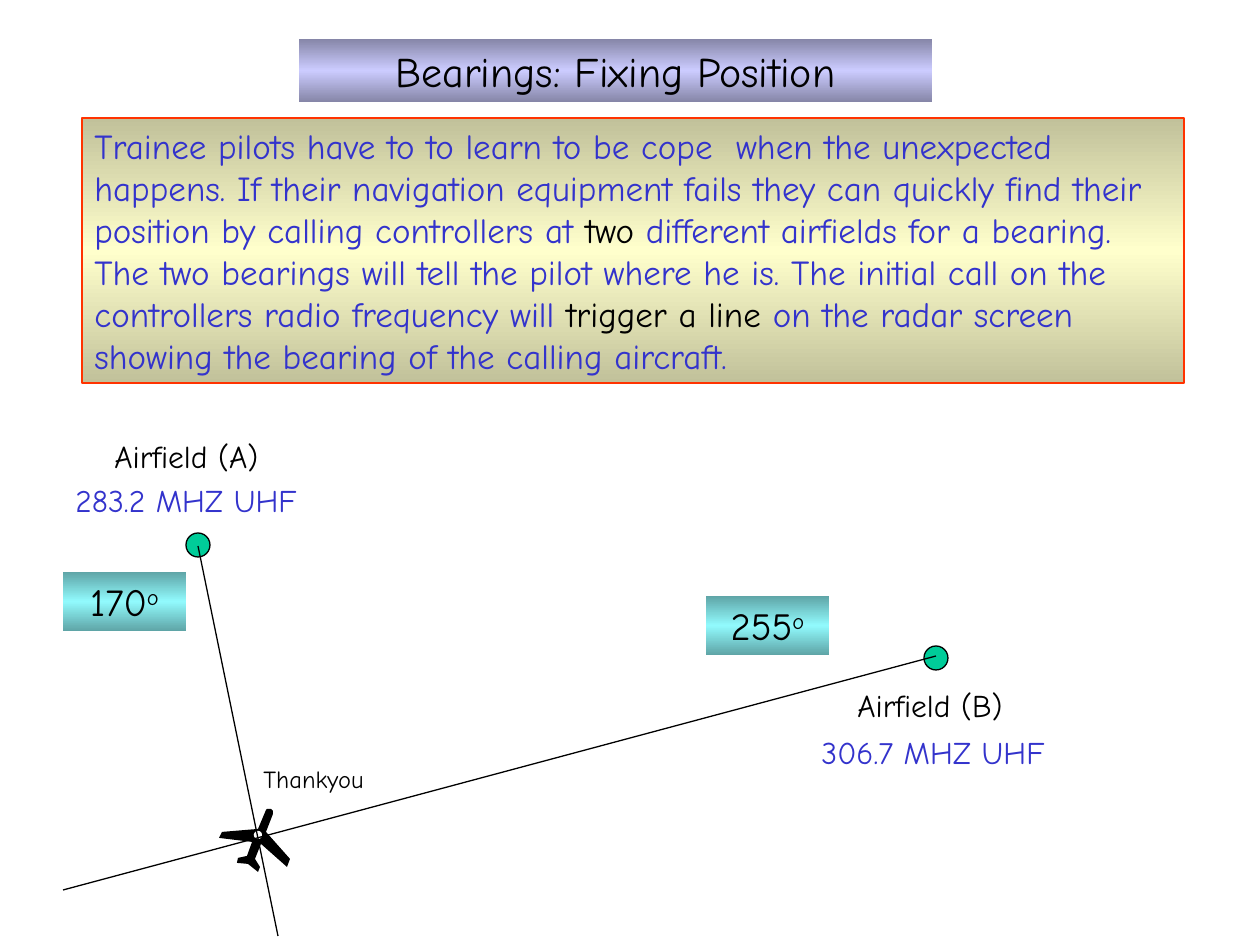
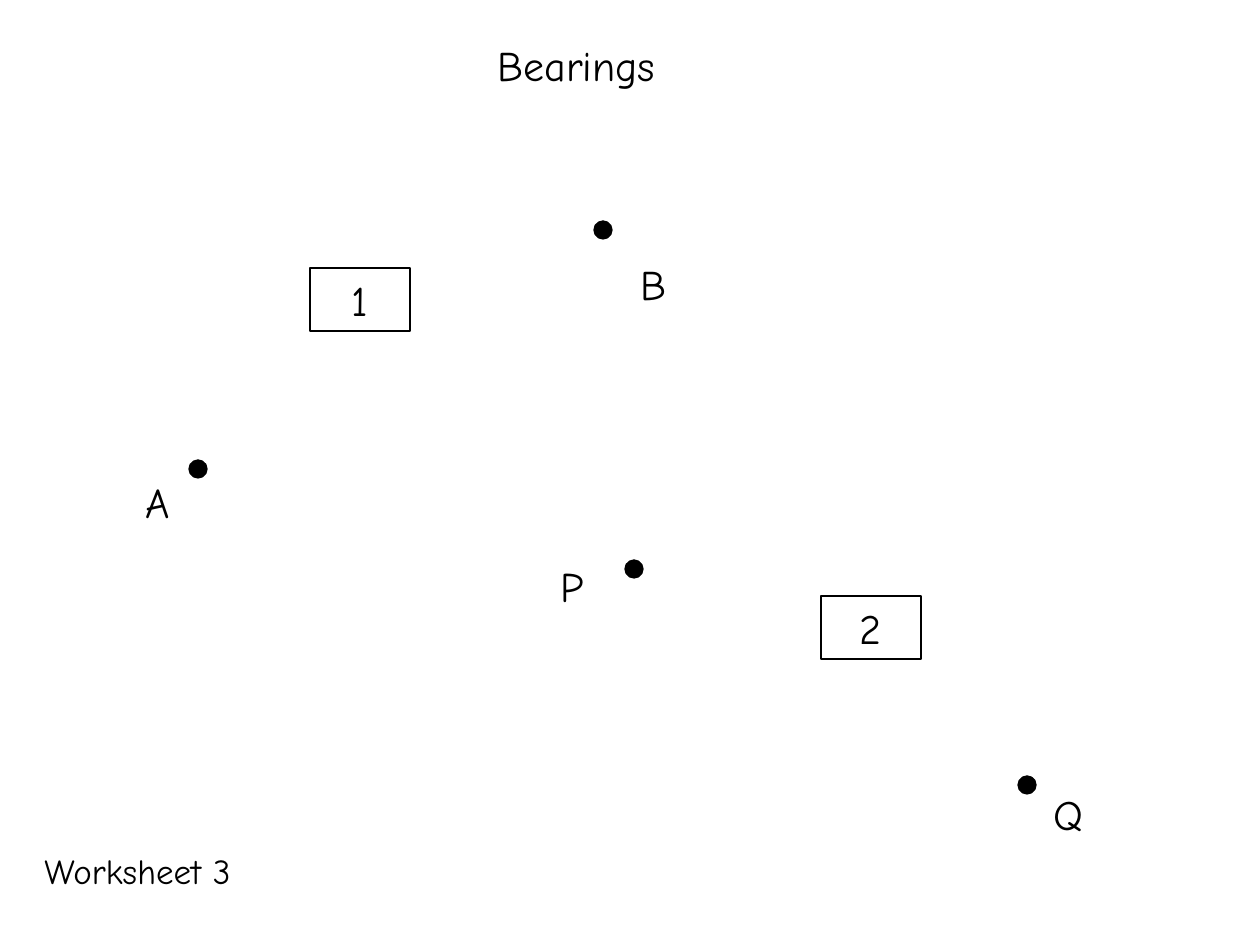
"""Build two slides about fixing a position from bearings."""
from copy import deepcopy

from lxml import etree
from pptx import Presentation
from pptx import util as u
from pptx.dml.color import RGBColor
from pptx.enum import shapes, text
from pptx.oxml.ns import qn

PX = 914400 / 126
FONT = "Comic Neue"
BLACK, WHITE, BLUE, GREEN, RED = "000000", "FFFFFF", "3333CC", "00CC99", "FF3300"
LILAC = ("8686A8", "CCCCFF")
CREAM = ("C1C19A", "FFFFCC")
AQUA = ("5FA5A7", "91FAFD")
LEFT, CENTER = text.PP_ALIGN.LEFT, text.PP_ALIGN.CENTER
LINE_WIDTH = u.Pt(0.75)

STORY = [
    ("Trainee pilots have to to learn to be cope  when the unexpected happens. "
     "If their navigation equipment fails they can quickly find their position "
     "by calling controllers at ", BLUE),
    ("two ", BLACK),
    ("different airfields for a bearing. The two bearings will tell the pilot "
     "where he is. The initial call on the controllers radio frequency will ", BLUE),
    ("trigger a line", BLACK),
    (" on the radar screen showing the bearing of the calling aircraft.", BLUE),
]
PLANE = [
    (255, 859), (261, 844), (287, 867), (290, 859), (266, 832), (273, 814),
    (273, 811), (271, 809), (267, 809), (266, 810), (258, 829), (222, 832),
    (219, 838), (252, 842), (247, 856), (238, 858), (237, 863), (248, 864),
    (258, 872), (260, 867),
]


def emu(*lengths):
    """Turn px lengths into EMU."""
    return [round(length * PX) for length in lengths]


def color(hex_code):
    """Turn a hex string into a colour."""
    return RGBColor.from_string(hex_code)


def paint(shape, fill=None, line=None):
    """Set the fill and outline, leaving out either one that is None."""
    shape.shadow.inherit = False
    if fill is None:
        shape.fill.background()
    else:
        shape.fill.solid()
        shape.fill.fore_color.rgb = color(fill)
    if line is None:
        shape.line.fill.background()
    else:
        shape.line.color.rgb = color(line)
        shape.line.width = LINE_WIDTH


def shade(shape, edge, middle):
    """Fill a shape with a vertical gradient that is lightest in the middle."""
    shape.fill.gradient()
    shape.fill.gradient_angle = 90
    stop_list = shape._element.spPr.find(f".//{qn('a:gsLst')}")
    stop_list.append(deepcopy(stop_list[0]))
    stops = zip(shape.fill.gradient_stops, (edge, middle, edge), (0, 0.5, 1))
    for stop, hex_code, position in stops:
        stop.color.rgb = color(hex_code)
        stop.position = position


def write(shape, spans, size, align):
    """Write (words, colour) spans as the one paragraph of a shape."""
    frame = shape.text_frame
    frame.word_wrap = True
    frame.vertical_anchor = text.MSO_ANCHOR.TOP
    para = frame.paragraphs[0]
    para.alignment = align
    para.font.name = FONT
    para.font.size = u.Pt(size)
    for words, hex_code in spans:
        span = para.add_run()
        span.text = words
        span.font.color.rgb = color(hex_code)
    return para


def label(page, box, words, size=24, hex_code=BLACK, align=LEFT):
    """Add plain text without a panel."""
    write(page.shapes.add_textbox(*emu(*box)), [(words, hex_code)], size, align)


def panel(page, box, spans, size=24, align=CENTER, gradient=None, line=None):
    """Add a rectangle with text, shaded when a gradient is given."""
    shape = page.shapes.add_shape(shapes.MSO_SHAPE.RECTANGLE, *emu(*box))
    paint(shape, line=line)
    if gradient:
        shade(shape, *gradient)
    return write(shape, spans, size, align)


def angle_panel(page, left, top, degrees):
    """Add a shaded bearing with a raised degree mark."""
    spans = [(degrees, BLACK), ("o", BLACK)]
    para = panel(page, (left, top, 123, 59), spans, 22, gradient=AQUA)
    para.runs[1]._r.get_or_add_rPr().set("baseline", "30000")


def dot(page, center, radius, fill=BLACK):
    """Add an outlined circle around a center."""
    x, y = center
    box = emu(x - radius, y - radius, 2 * radius, 2 * radius)
    paint(page.shapes.add_shape(shapes.MSO_SHAPE.OVAL, *box), fill, BLACK)


def bearing_line(page, start, end):
    """Add a straight black line."""
    line = page.shapes.add_connector(
        shapes.MSO_CONNECTOR.STRAIGHT, *emu(*start, *end))
    line.line.color.rgb = color(BLACK)
    line.line.width = LINE_WIDTH
    etree.SubElement(line._element.spPr, qn("a:effectLst"))


def airplane(page):
    """Add the black aircraft with its white hub."""
    builder = page.shapes.build_freeform(*PLANE[0], scale=PX)
    builder.add_line_segments(PLANE[1:], close=True)
    paint(builder.convert_to_shape(), BLACK)
    dot(page, (258, 835), 5, WHITE)


def fixing_position(page):
    """Fill the slide on finding a position from two airfields."""
    panel(page, (299, 39, 633, 63), [("Bearings: Fixing Position", BLACK)],
          gradient=LILAC)
    panel(page, (82, 118, 1102, 265), STORY, 20, LEFT, CREAM, RED)
    airfields = [
        ("Airfield (A)", (102, 431), "283.2 MHZ UHF", (63, 475), (198, 545)),
        ("Airfield (B)", (845, 680), "306.7 MHZ UHF", (809, 727), (936, 658)),
    ]
    for name, name_at, frequency, frequency_at, center in airfields:
        label(page, (*name_at, 262, 50), name, 18)
        label(page, (*frequency_at, 289, 50), frequency, 18, BLUE)
        dot(page, center, 12, GREEN)
    airplane(page)
    label(page, (251, 758, 134, 43), "Thankyou", 14)
    bearing_line(page, (198, 546), (278, 936))
    angle_panel(page, 63, 572, "170")
    bearing_line(page, (936, 656), (63, 890))
    angle_panel(page, 706, 596, "255")


def worksheet(page):
    """Fill the worksheet slide with its two pairs of points."""
    label(page, (460, 33, 233, 63), "Bearings", align=CENTER)
    for number, left, top in (("1", 310, 268), ("2", 821, 596)):
        panel(page, (left, top, 100, 63), [(number, BLACK)], line=BLACK)
    points = [
        ("A", (118, 470), (198, 469)),
        ("B", (614, 252), (603, 230)),
        ("P", (533, 554), (634, 569)),
        ("Q", (1029, 782), (1027, 785)),
    ]
    for name, name_at, center in points:
        label(page, (*name_at, 79, 63), name, align=CENTER)
        dot(page, center, 9)
    label(page, (32, 843, 363, 55), "Worksheet 3", 20)


def main():
    """Build and save the deck."""
    deck = Presentation()
    deck.slide_width, deck.slide_height = emu(1260, 945)
    for fill_page in (fixing_position, worksheet):
        fill_page(deck.slides.add_slide(deck.slide_layouts[6]))
    deck.save("out.pptx")


if __name__ == "__main__":
    main()
